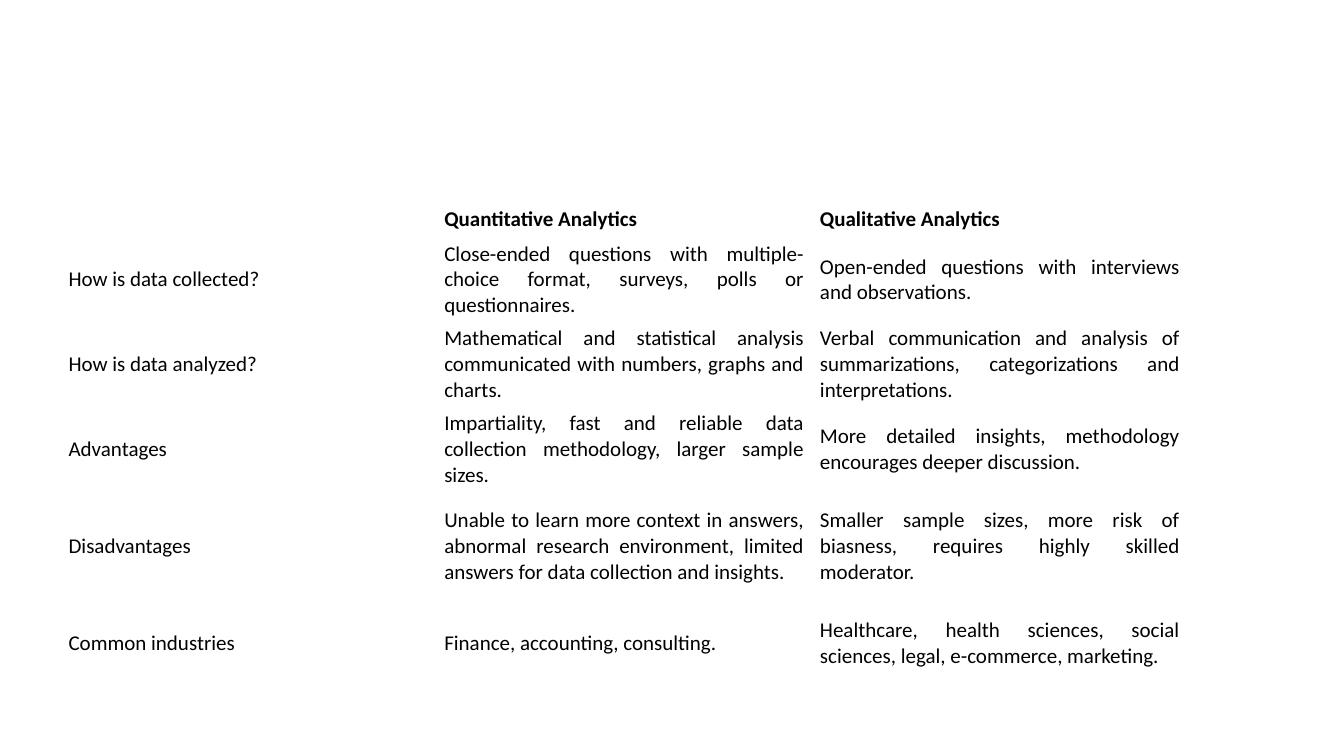
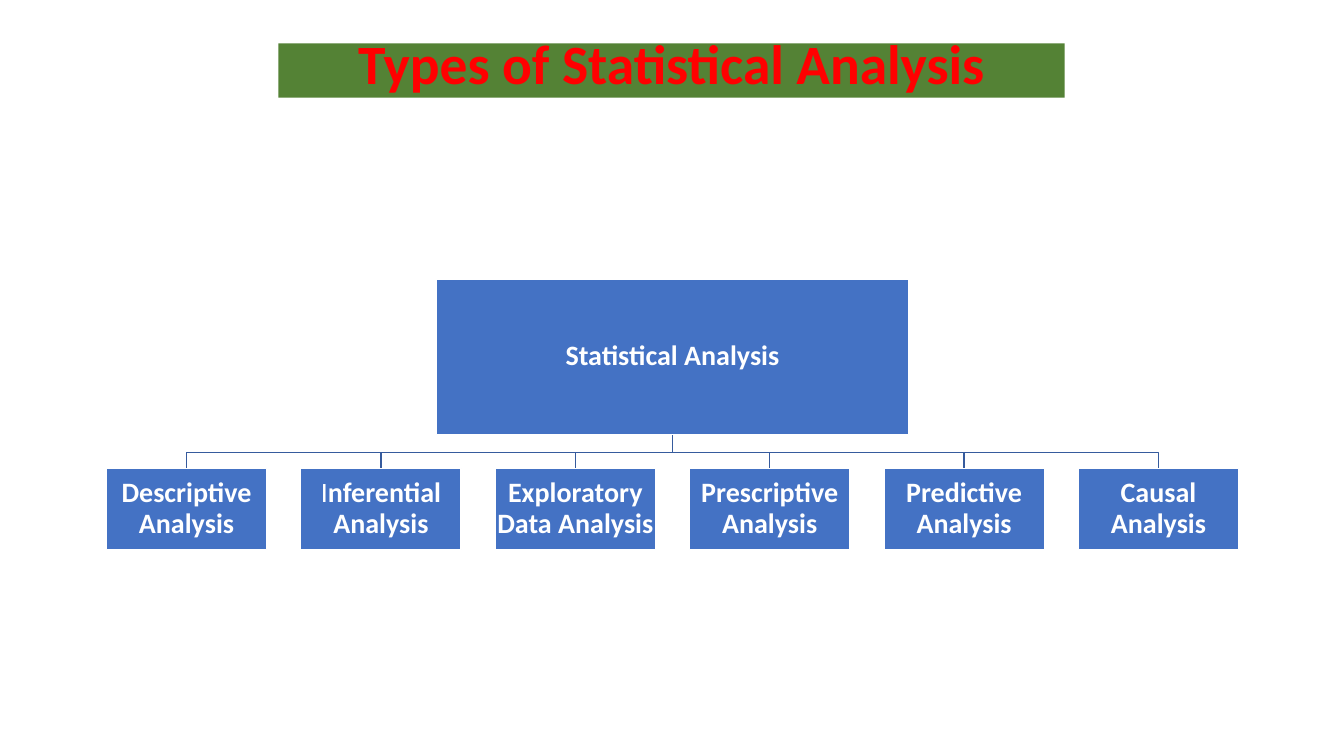
from pptx import Presentation
from pptx.dml.color import RGBColor
from pptx.enum.shapes import MSO_SHAPE
from pptx.enum.text import MSO_ANCHOR, MSO_AUTO_SIZE, PP_ALIGN
from pptx.util import Inches, Pt

COLORS = {name: RGBColor.from_string(value) for name, value in {
    "text": "000000",
    "title": "FF0000",
    "band": "548235",
    "box": "4472C4",
    "box_text": "FFFFFF",
    "line": "365B9D",
}.items()}
FONT = "Calibri"
SLIDE_WIDTH, SLIDE_HEIGHT = 13.33, 7.5


def add_span(para, text, size, color, bold):
    span = para.add_run()
    span.text = text
    span.font.name = FONT
    span.font.size = Pt(size)
    span.font.bold = bold
    span.font.color.rgb = COLORS[color]


deck = Presentation()
deck.slide_width = Inches(SLIDE_WIDTH)
deck.slide_height = Inches(SLIDE_HEIGHT)
title_only, blank = deck.slide_layouts[5], deck.slide_layouts[6]

# Comparison table
comparison = [
    ("", "Quantitative Analytics", "Qualitative Analytics"),
    ("How is data collected?",
     "Close-ended questions with multiple-choice format, surveys, polls or questionnaires.",
     "Open-ended questions with interviews and observations."),
    ("How is data analyzed?",
     "Mathematical and statistical analysis communicated with numbers, graphs and charts.",
     "Verbal communication and analysis of summarizations, categorizations and interpretations."),
    ("Advantages",
     "Impartiality, fast and reliable data collection methodology, larger sample sizes.",
     "More detailed insights, methodology encourages deeper discussion."),
    ("Disadvantages",
     "Unable to learn more context in answers, abnormal research environment, "
     "limited answers for data collection and insights.",
     "Smaller sample sizes, more risk of biasness, requires highly skilled moderator."),
    ("Common industries",
     "Finance, accounting, consulting.",
     "Healthcare, health sciences, social sciences, legal, e-commerce, marketing."),
]
row_heights = [0.33, 0.83, 0.83, 0.83, 1.09, 0.83]
table_width = 11.18

page = deck.slides.add_slide(blank)
table = page.shapes.add_table(
    len(comparison), 3, Inches(0.6), Inches(2),
    Inches(table_width), Inches(sum(row_heights))).table
table.first_row = False
table.horz_banding = False
for column in table.columns:
    column.width = Inches(table_width / 3)
for row_index, (texts, height) in enumerate(zip(comparison, row_heights)):
    table.rows[row_index].height = Inches(height)
    for cell, text in zip(table.rows[row_index].cells, texts):
        cell.fill.background()
        cell.vertical_anchor = MSO_ANCHOR.MIDDLE
        cell.margin_left = cell.margin_right = Inches(0.08)
        cell.margin_top = cell.margin_bottom = Pt(2.7)
        para = cell.text_frame.paragraphs[0]
        para.alignment = PP_ALIGN.JUSTIFY
        add_span(para, text, 15, "text", row_index == 0)

# Title band
page = deck.slides.add_slide(title_only)
title = page.shapes.title
title.left, title.top = Inches(2.76), Inches(0.43)
title.width, title.height = Inches(7.8), Inches(0.54)
title.fill.solid()
title.fill.fore_color.rgb = COLORS["band"]
frame = title.text_frame
frame.auto_size = MSO_AUTO_SIZE.NONE
frame.vertical_anchor = MSO_ANCHOR.MIDDLE
frame.margin_bottom = Inches(0.13)
para = frame.paragraphs[0]
para.alignment = PP_ALIGN.CENTER
para.line_spacing = 0.9
add_span(para, "Types of Statistical Analysis", 39.6, "title", True)

# Hierarchy: one root above six equally spaced branches
branches = [
    [("Descriptive Analysis", True)],
    [("I", False), ("nferential Analysis", True)],
    [("Exploratory Data Analysis", True)],
    [("Prescriptive Analysis", True)],
    [("Predictive Analysis", True)],
    [("Causal Analysis", True)],
]
middle = 6.67
root_top, root_width, root_height = 2.77, 4.68, 1.54
branch_top, branch_width, branch_height = 4.65, 1.59, 0.8
first_center, last_center = 1.85, 11.49
pitch = (last_center - first_center) / (len(branches) - 1)
root_bottom = root_top + root_height
bus = 4.49
centers = [first_center + index * pitch for index in range(len(branches))]

for center in reversed(centers):
    builder = page.shapes.build_freeform(
        Inches(middle), Inches(root_bottom), scale=1.0)
    builder.add_line_segments(
        [(Inches(x), Inches(y)) for x, y in
         [(middle, bus), (center, bus), (center, branch_top)]], close=False)
    elbow = builder.convert_to_shape()
    elbow.shadow.inherit = False
    elbow.fill.background()
    elbow.line.color.rgb = COLORS["line"]
    elbow.line.width = Pt(1)

nodes = [(middle, root_top, root_width, root_height, [("Statistical Analysis", True)])]
nodes += [(center, branch_top, branch_width, branch_height, spans)
          for center, spans in zip(centers, branches)]
for center, top, width, height, spans in nodes:
    box = page.shapes.add_shape(
        MSO_SHAPE.RECTANGLE, Inches(center - width / 2), Inches(top),
        Inches(width), Inches(height))
    box.shadow.inherit = False
    box.fill.solid()
    box.fill.fore_color.rgb = COLORS["box"]
    box.line.color.rgb = COLORS["box_text"]
    box.line.width = Pt(1)
    frame = box.text_frame
    frame.word_wrap = True
    frame.vertical_anchor = MSO_ANCHOR.MIDDLE
    frame.margin_left = frame.margin_right = Inches(0.01)
    frame.margin_top = frame.margin_bottom = Inches(0.01)
    para = frame.paragraphs[0]
    para.alignment = PP_ALIGN.CENTER
    para.line_spacing = 0.9
    for text, bold in spans:
        add_span(para, text, 20, "box_text", bold)

deck.save("out.pptx")
